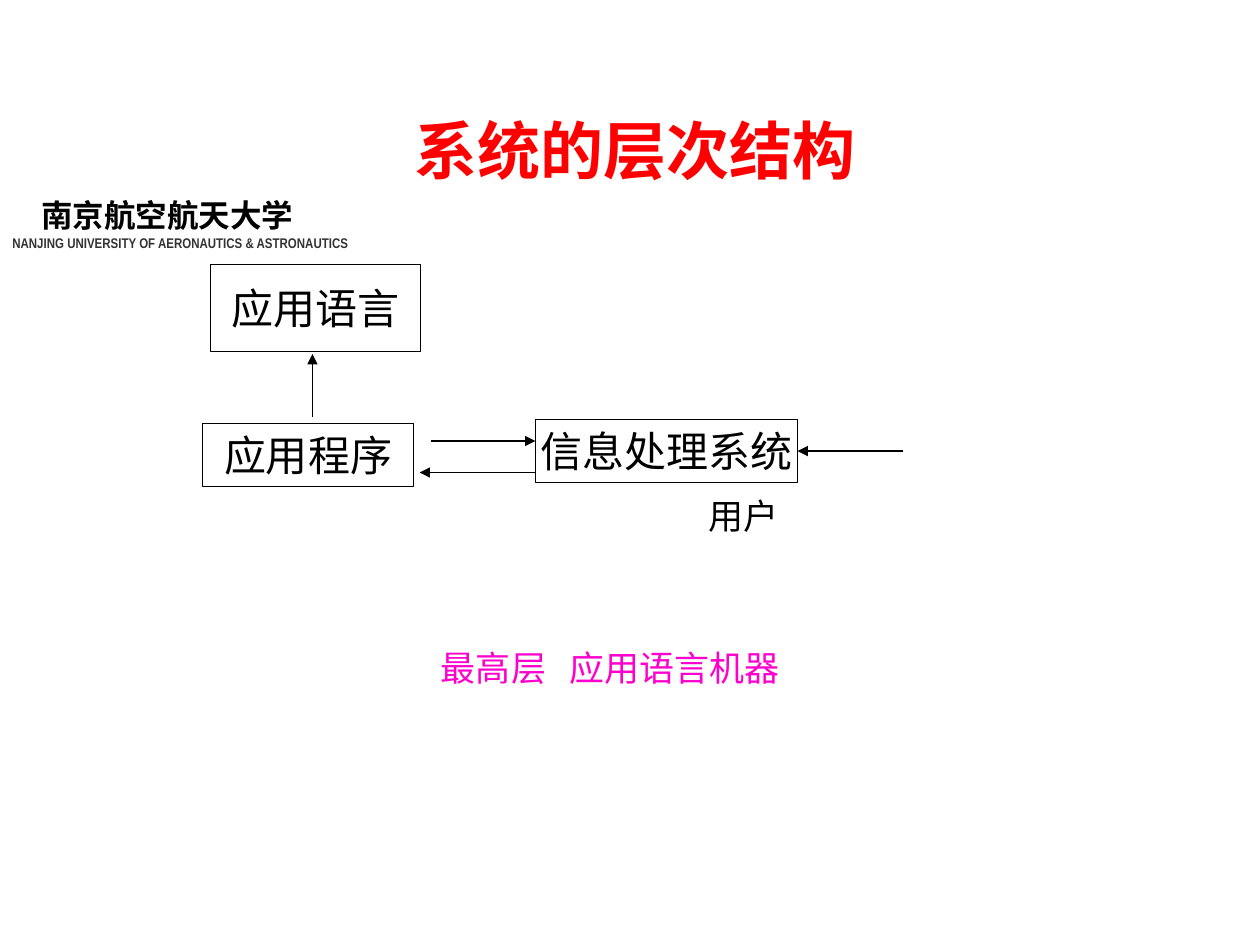
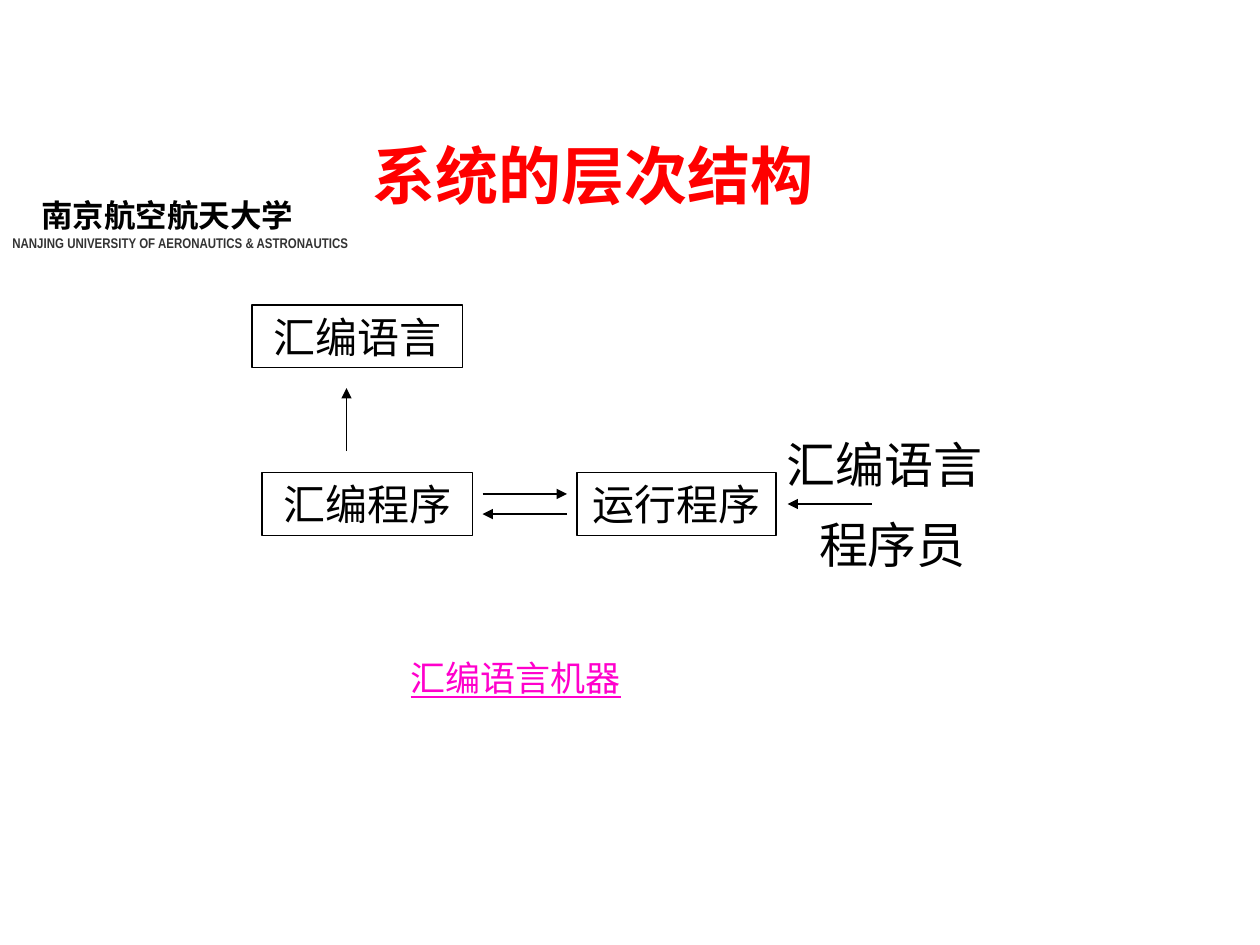
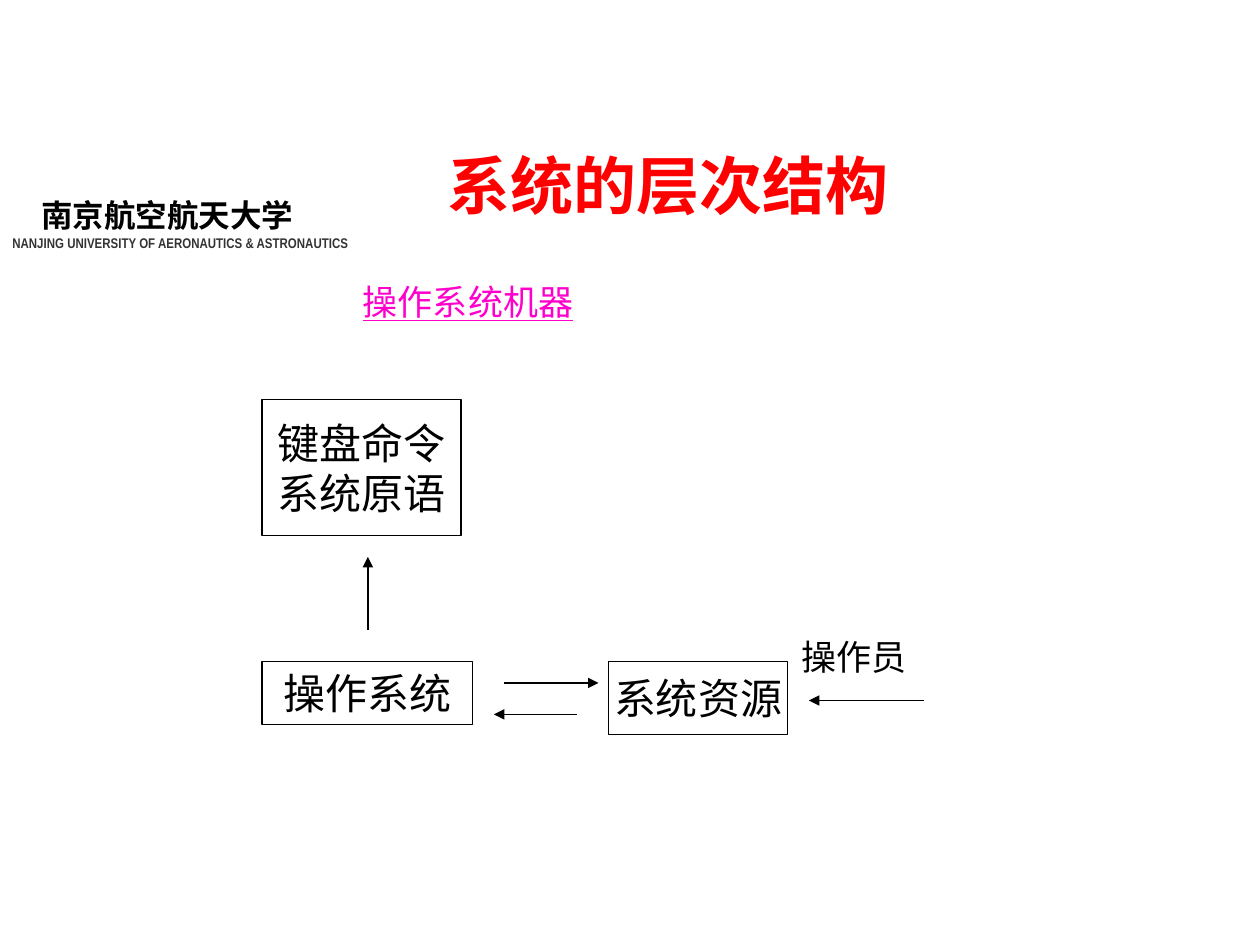
"""Builds three slides on the layered structure of a computer system."""
from dataclasses import dataclass

from lxml.etree import SubElement
from pptx import Presentation
from pptx.dml.color import RGBColor
from pptx.enum.shapes import MSO_CONNECTOR as Connector, MSO_SHAPE as Shape
from pptx.enum.text import MSO_ANCHOR as Anchor, MSO_AUTO_SIZE as AutoSize, PP_ALIGN as Align
from pptx.oxml.ns import qn
from pptx.util import Inches, Pt


@dataclass(frozen=True)
class Theme:
    black: str = "000000"
    grey: str = "333333"
    red: str = "FF0000"
    magenta: str = "FF00CC"
    sans: str = "Arial"
    narrow: str = "Arial Narrow"
    serif: str = "Times New Roman"
    title: int = 36
    large: int = 28
    box: int = 24
    label: int = 20
    school: int = 18
    school_english: int = 8
    line: float = 0.75


THEME = Theme()
TITLE = "系统的层次结构"
SCHOOL = "南京航空航天大学"
SCHOOL_ENGLISH = "NANJING UNIVERSITY OF AERONAUTICS & ASTRONAUTICS"
LABEL_HEIGHT = 0.5
LABEL_TAB = 1.02

SLIDES = [
    {
        "title": (3.19, 0.68, 6.73, 1.01),
        "boxes": [
            ("应用语言", 1.67, 2.1, 1.67, 0.69),
            ("应用程序", 1.61, 3.36, 1.67, 0.5),
            ("信息处理系统", 4.25, 3.33, 2.08, 0.5),
        ],
        "arrows": [
            (2.48, 3.31, 2.48, 2.81, None),
            (3.42, 3.5, 4.25, 3.5, None),
            (4.25, 3.75, 3.33, 3.75, None),
            (7.17, 3.58, 6.33, 3.58, "信息处理系统"),
        ],
        "labels": [
            ("用户", 5.62, 4.09, THEME.label, THEME.black, False),
            ("最高层\t应用语言机器", 3.5, 5.3, THEME.label, THEME.magenta, False),
        ],
    },
    {
        "title": (2.86, 0.76, 7.68, 1.25),
        "boxes": [
            ("汇编语言", 2, 2.42, 1.67, 0.5),
            ("汇编程序", 2.08, 3.75, 1.67, 0.5),
            ("运行程序", 4.58, 3.75, 1.58, 0.5),
        ],
        "arrows": [
            (2.75, 3.58, 2.75, 3.08, None),
            (3.83, 3.92, 4.5, 3.92, None),
            (4.5, 4.08, 3.83, 4.08, None),
            (6.92, 4, 6.25, 4, None),
        ],
        "labels": [
            ("汇编语言", 6.24, 3.68, THEME.large, THEME.black, False),
            ("程序员", 6.5, 4.32, THEME.large, THEME.black, False),
            ("汇编语言机器", 3.26, 5.38, THEME.label, THEME.magenta, True),
        ],
    },
    {
        "title": (3.45, 0.84, 7.09, 1.25),
        "boxes": [
            ("键盘命令\n系统原语", 2.08, 3.17, 1.58, 1.08),
            ("操作系统", 2.08, 5.25, 1.67, 0.5),
            ("系统资源", 4.83, 5.25, 1.42, 0.58),
        ],
        "arrows": [
            (2.92, 5, 2.92, 4.42, None),
            (4, 5.42, 4.75, 5.42, None),
            (4.58, 5.67, 3.92, 5.67, None),
            (7.33, 5.56, 6.42, 5.56, None),
        ],
        "labels": [
            ("操作系统机器", 2.88, 2.39, THEME.label, THEME.magenta, True),
            ("操作员", 6.36, 5.21, THEME.label, THEME.black, False),
        ],
    },
]


def add_run(para, text, size, font, colour, bold=False, underline=False):
    span = para.add_run()
    span.text = text
    span.font.size = Pt(size)
    span.font.name = font
    span.font.color.rgb = RGBColor.from_string(colour)
    span.font.bold = bold
    span.font.underline = underline


deck = Presentation()
deck.slide_width, deck.slide_height = Inches(10), Inches(7.5)
title_only = deck.slide_layouts[5]

for content in SLIDES:
    page = deck.slides.add_slide(title_only)

    school = page.shapes.add_textbox(Inches(0), Inches(1.51), Inches(3.03), Inches(0.67))
    school.text_frame.word_wrap = True
    para = school.text_frame.paragraphs[0]
    para._p.get_or_add_pPr().set("marL", str(Inches(0.23)))
    add_run(para, SCHOOL, THEME.school, THEME.sans, THEME.black, bold=True)
    para = school.text_frame.add_paragraph()
    add_run(para, SCHOOL_ENGLISH, THEME.school_english, THEME.narrow, THEME.grey, bold=True)

    title = page.shapes.title
    title.left, title.top, title.width, title.height = map(Inches, content["title"])
    title.text_frame.auto_size = AutoSize.NONE
    title.text_frame.vertical_anchor = Anchor.MIDDLE
    para = title.text_frame.paragraphs[0]
    para.alignment = Align.LEFT
    add_run(para, TITLE, THEME.title, THEME.sans, THEME.red, bold=True)

    for text, left, middle, size, colour, underline in content["labels"]:
        label = page.shapes.add_textbox(
            Inches(left), Inches(middle - LABEL_HEIGHT / 2),
            Inches(len(text) * size / 72 + 0.2), Inches(LABEL_HEIGHT))
        frame = label.text_frame
        frame.word_wrap = True
        frame.vertical_anchor = Anchor.MIDDLE
        frame.margin_left = frame.margin_right = frame.margin_top = frame.margin_bottom = 0
        para = frame.paragraphs[0]
        if "\t" in text:
            tabs = SubElement(para._p.get_or_add_pPr(), qn("a:tabLst"))
            SubElement(tabs, qn("a:tab"), pos=str(Inches(LABEL_TAB)), algn="l")
        add_run(para, text, size, THEME.sans, colour, underline=underline)

    boxes = {}
    for text, *place in content["boxes"]:
        box = page.shapes.add_shape(Shape.RECTANGLE, *map(Inches, place))
        box.shadow.inherit = False
        box.fill.background()
        box.line.color.rgb = RGBColor.from_string(THEME.black)
        box.line.width = Pt(THEME.line)
        frame = box.text_frame
        frame.word_wrap = False
        frame.vertical_anchor = Anchor.MIDDLE
        for index, row in enumerate(text.split("\n")):
            para = frame.add_paragraph() if index else frame.paragraphs[0]
            para.alignment = Align.CENTER
            add_run(para, row, THEME.box, THEME.serif, THEME.black)
        boxes[text] = box

    for *ends, joined in content["arrows"]:
        arrow = page.shapes.add_connector(Connector.STRAIGHT, *map(Inches, ends))
        arrow.line.color.rgb = RGBColor.from_string(THEME.black)
        arrow.line.width = Pt(THEME.line)
        SubElement(arrow.line._get_or_add_ln(), qn("a:tailEnd"), type="triangle")
        SubElement(arrow._element.spPr, qn("a:effectLst"))
        if joined:
            arrow.end_connect(boxes[joined], 3)

deck.save("out.pptx")
